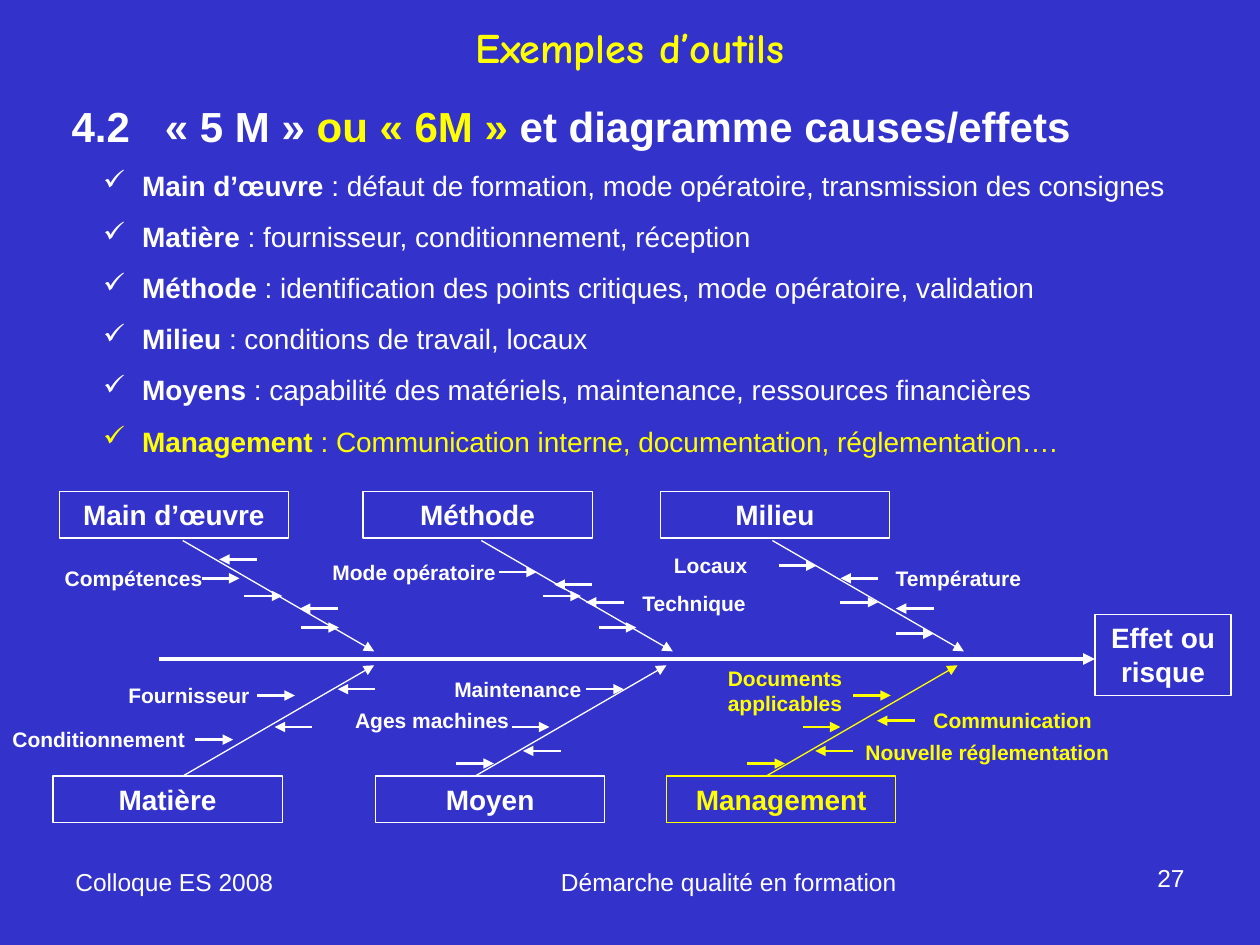
from lxml import etree
from pptx import Presentation
from pptx.dml.color import RGBColor
from pptx.enum.shapes import MSO_CONNECTOR, MSO_SHAPE
from pptx.enum.text import MSO_ANCHOR, PP_ALIGN
from pptx.oxml.ns import qn
from pptx.util import Inches, Pt

LEFT, CENTER, RIGHT = PP_ALIGN.LEFT, PP_ALIGN.CENTER, PP_ALIGN.RIGHT
TOP, MIDDLE = MSO_ANCHOR.TOP, MSO_ANCHOR.MIDDLE
STRAIGHT = MSO_CONNECTOR.STRAIGHT
RECTANGLE = MSO_SHAPE.RECTANGLE

COLORS = {"blue": "3333CC", "white": "FFFFFF", "yellow": "FFFF00"}

HEADING = [
    ("4.2\t«\u00a05 M\u00a0» ", "white"),
    ("ou «\u00a06M\u00a0»", "yellow"),
    (" et diagramme causes/effets", "white"),
]
CAUSES = [
    ("Main d’œuvre", "défaut de formation, mode opératoire, transmission des consignes", "white"),
    ("Matière", "fournisseur, conditionnement, réception", "white"),
    ("Méthode", "identification des points critiques, mode opératoire, validation", "white"),
    ("Milieu", "conditions de travail, locaux", "white"),
    ("Moyens", "capabilité des matériels, maintenance, ressources financières", "white"),
    ("Management", "Communication interne, documentation, réglementation….", "yellow"),
]

BOX_WIDTH, BOX_HEIGHT = 1.82, 0.37
UPPER_BOX, LOWER_BOX = 3.9, 6.16
UPPER_BONE, LOWER_BONE = (4.29, 5.17), (6.16, 5.28)
BONE_RUN = 1.52
ARROW_LENGTH = 0.3
FAMILIES = [
    ("Main d’œuvre", 0.47, UPPER_BOX, 1.45, UPPER_BONE, "white"),
    ("Méthode", 2.88, UPPER_BOX, 3.82, UPPER_BONE, "white"),
    ("Milieu", 5.24, UPPER_BOX, 6.13, UPPER_BONE, "white"),
    ("Matière", 0.42, LOWER_BOX, 1.45, LOWER_BONE, "white"),
    ("Moyen", 2.98, LOWER_BOX, 3.77, LOWER_BONE, "white"),
    ("Management", 5.29, LOWER_BOX, 6.08, LOWER_BONE, "yellow"),
]
LABELS = [
    ("Compétences", 0.32, 4.44, 1.48, CENTER, "white"),
    ("Mode opératoire", 2.54, 4.39, 1.62, LEFT, "white"),
    ("Locaux", 4.9, 4.34, 1.48, CENTER, "white"),
    ("Température", 7.01, 4.44, 1.48, LEFT, "white"),
    ("Technique", 5, 4.64, 1.48, LEFT, "white"),
    ("Fournisseur", 0.76, 5.37, 1.48, CENTER, "white"),
    ("Conditionnement", 0, 5.72, 1.65, LEFT, "white"),
    ("Maintenance", 3.37, 5.32, 1.48, CENTER, "white"),
    ("Ages machines", 2.72, 5.57, 1.45, LEFT, "white"),
    ("Documents applicables", 5.49, 5.23, 1.48, CENTER, "yellow"),
    ("Communication", 7.31, 5.57, 1.48, LEFT, "yellow"),
    ("Nouvelle réglementation", 6.77, 5.82, 2.31, LEFT, "yellow"),
]
RIGHTWARD = {
    "white": [
        (1.6, 4.59), (1.94, 4.73), (2.39, 4.98), (3.96, 4.54), (4.31, 4.73),
        (4.75, 4.98), (6.18, 4.49), (6.67, 4.78), (7.11, 5.03), (2.04, 5.52),
        (1.55, 5.87), (4.65, 5.47), (4.06, 5.77), (3.62, 6.06),
    ],
    "yellow": [(6.77, 5.52), (6.37, 5.77), (5.93, 6.06)],
}
LEFTWARD = {
    "white": [
        (2.04, 4.44), (2.68, 4.83), (4.7, 4.64), (4.95, 4.78), (6.97, 4.59),
        (7.41, 4.83), (2.98, 5.47), (2.48, 5.77), (4.45, 5.96),
    ],
    "yellow": [(7.26, 5.72), (6.77, 5.96)],
}
FOOTERS = [
    ("Colloque ES 2008", 0.5, 6.83, 2.33, LEFT),
    ("Démarche qualité en formation", 3.42, 6.83, 4.73, CENTER),
    ("27", 8.64, 6.8, 0.86, RIGHT),
]


def rgb(color):
    return RGBColor.from_string(COLORS[color])


def add_span(para, text, size, color, bold=False, font="Arial"):
    span = para.add_run()
    span.text = text
    span.font.name = font
    span.font.size = Pt(size)
    span.font.bold = bold
    span.font.color.rgb = rgb(color)


def prepare_frame(box, align=LEFT, anchor=TOP):
    frame = box.text_frame
    frame.word_wrap = True
    frame.vertical_anchor = anchor
    para = frame.paragraphs[0]
    para.alignment = align
    return para


def add_text(shapes, text, left, top, width, height, size, color,
             align=LEFT, anchor=TOP, bold=True, font="Arial"):
    box = shapes.add_textbox(Inches(left), Inches(top), Inches(width), Inches(height))
    add_span(prepare_frame(box, align, anchor), text, size, color, bold, font)


def add_frame(shapes, text, left, top, width, height, color):
    box = shapes.add_shape(RECTANGLE, Inches(left), Inches(top), Inches(width), Inches(height))
    box.shadow.inherit = False
    box.fill.background()
    box.line.color.rgb = rgb(color)
    box.line.width = Pt(0.75)
    add_span(prepare_frame(box, CENTER), text, 16, color, bold=True)


def add_arrow(shapes, start, end, color, width):
    arrow = shapes.add_connector(STRAIGHT, *(Inches(value) for value in start + end))
    arrow.line.color.rgb = rgb(color)
    arrow.line.width = Pt(width)
    etree.SubElement(arrow.line._get_or_add_ln(), qn("a:tailEnd"), type="triangle")
    etree.SubElement(arrow._element.spPr, qn("a:effectLst"))


def add_tab(para, position):
    tabs = etree.SubElement(para._p.get_or_add_pPr(), qn("a:tabLst"))
    etree.SubElement(tabs, qn("a:tab"), pos=str(Inches(position)), algn="l")


def add_check(para, color):
    properties = para._p.get_or_add_pPr()
    properties.set("marL", str(Inches(0.56)))
    properties.set("indent", str(Inches(-0.31)))
    bullet_color = etree.SubElement(properties, qn("a:buClr"))
    etree.SubElement(bullet_color, qn("a:srgbClr"), val=COLORS[color])
    etree.SubElement(properties, qn("a:buChar"), char="✓")


def add_causes(shapes):
    box = shapes.add_textbox(Inches(0.47), Inches(0.75), Inches(9.15), Inches(2.94))
    heading = prepare_frame(box)
    add_tab(heading, 0.74)
    for text, color in HEADING:
        add_span(heading, text, 24, color, bold=True)
    for name, details, color in CAUSES:
        para = box.text_frame.add_paragraph()
        para.level = 1
        add_check(para, color)
        para.space_before = Pt(10)
        add_span(para, name, 16, color, bold=True)
        add_span(para, f" : {details}", 16, color)


def add_fishbone(shapes):
    add_frame(shapes, "Effet ou risque", 8.69, 4.88, 1.08, 0.64, "white")
    add_arrow(shapes, (1.26, 5.23), (8.69, 5.23), "white", 2.25)
    for name, left, top, bone, (start, end), color in FAMILIES:
        add_frame(shapes, name, left, top, BOX_WIDTH, BOX_HEIGHT, color)
        add_arrow(shapes, (bone, start), (bone + BONE_RUN, end), color, 0.75)
    for text, left, top, width, align, color in LABELS:
        height = 0.5 if text == "Documents applicables" else 0.3
        add_text(shapes, text, left, top, width, height, 12, color, align)
    for arrows, reach in ((RIGHTWARD, ARROW_LENGTH), (LEFTWARD, -ARROW_LENGTH)):
        for color, starts in arrows.items():
            for x, y in starts:
                add_arrow(shapes, (x, y), (x + reach, y), color, 1.5)


def main():
    deck = Presentation()
    deck.slide_width, deck.slide_height = Inches(10), Inches(7.5)
    page = deck.slides.add_slide(deck.slide_layouts[6])
    page.background.fill.solid()
    page.background.fill.fore_color.rgb = rgb("blue")
    add_text(page.shapes, "Exemples d’outils", 0, 0, 10, 0.74, 24, "yellow",
             CENTER, MIDDLE, font="Comic Neue")
    add_causes(page.shapes)
    add_fishbone(page.shapes.add_group_shape().shapes)
    for text, left, top, width, align in FOOTERS:
        add_text(page.shapes, text, left, top, width, 0.52, 14, "white", align, bold=False)
    deck.save("out.pptx")


if __name__ == "__main__":
    main()
